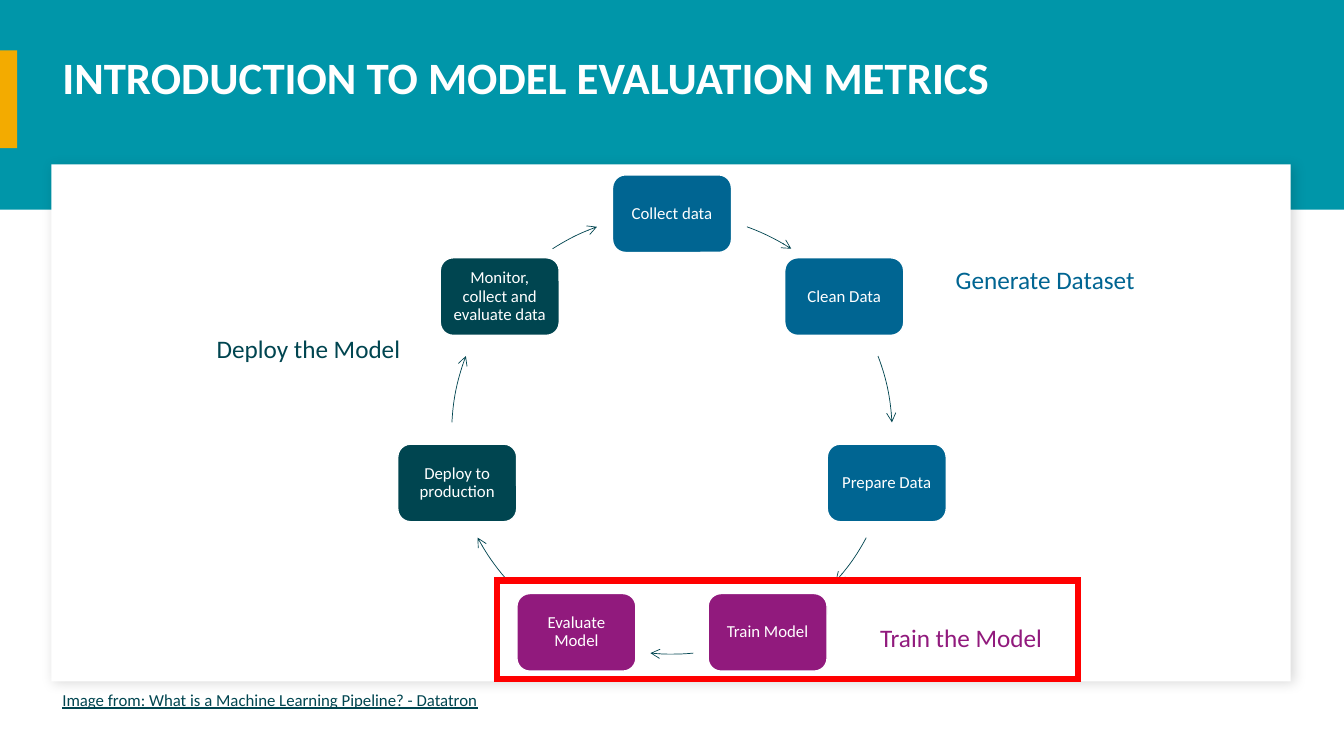
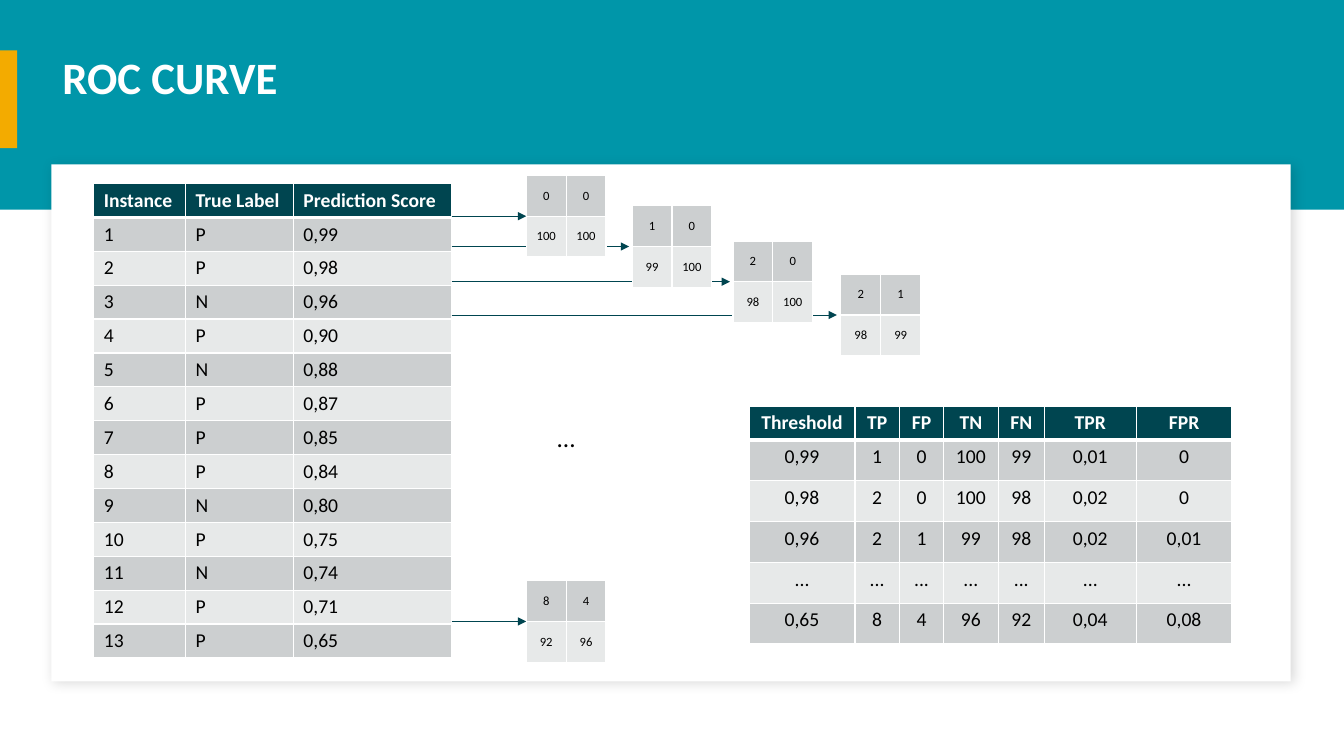
from itertools import product
import math

from lxml import etree
from pptx import Presentation
from pptx.dml.color import RGBColor
from pptx.enum import shapes, text
from pptx.oxml import ns
from pptx.util import Inches, Pt

TEAL = RGBColor(0x00, 0x96, 0xA9)
GOLD = RGBColor(0xF3, 0xAB, 0x00)
DARK = RGBColor(0x00, 0x45, 0x50)
BLUE = RGBColor(0x00, 0x65, 0x92)
PLUM = RGBColor(0x91, 0x1A, 0x7D)
RED = RGBColor(0xFF, 0x00, 0x00)
WHITE = RGBColor(0xFF, 0xFF, 0xFF)
BLACK = RGBColor(0x00, 0x00, 0x00)
BANDS = (RGBColor(0xCC, 0xCF, 0xD0), RGBColor(0xE7, 0xE9, 0xE9))
FONT = "Calibri"
CARD = (0.51, 1.63, 12.29, 5.13)

RECT = shapes.MSO_SHAPE.RECTANGLE
ROUND = shapes.MSO_SHAPE.ROUNDED_RECTANGLE
ARC = shapes.MSO_SHAPE.ARC
LEFT, MID = text.PP_ALIGN.LEFT, text.PP_ALIGN.CENTER
TOP, CENTER = text.MSO_ANCHOR.TOP, text.MSO_ANCHOR.MIDDLE


# Helpers
def node(parent, tag, **attrs):
    return etree.SubElement(parent, ns.qn("a:" + tag), attrs)


def write(frame, words, size=14, color=BLACK, bold=False, under=False,
          align=LEFT, space=1.0):
    para = frame.paragraphs[0]
    para.alignment = align
    para.line_spacing = space
    run = para.add_run()
    run.text = words
    font = run.font
    font.name, font.size, font.bold = FONT, Pt(size), bold
    font.underline = under
    font.color.rgb = color


def label(slide, box, words, wrap=True, **style):
    frame = slide.shapes.add_textbox(*map(Inches, box)).text_frame
    frame.word_wrap = wrap
    write(frame, words, **style)


def block(slide, box, fill=None, line=None, width=1, kind=RECT):
    shape = slide.shapes.add_shape(kind, *map(Inches, box))
    shape.shadow.inherit = False
    if fill is None:
        shape.fill.background()
    else:
        shape.fill.solid()
        shape.fill.fore_color.rgb = fill
    if line is None:
        shape.line.fill.background()
    else:
        shape.line.color.rgb = line
        shape.line.width = Pt(width)
        node(shape.line._get_or_add_ln(), "miter", lim="800000")
    return shape


def point(shape, head):
    """Give a thin dark line an arrowhead at its end."""
    shape.line.color.rgb = DARK
    shape.line.width = Pt(0.5)
    node(shape.line._get_or_add_ln(), "tailEnd", type=head)


def arrow(slide, start, end, y):
    link = slide.shapes.add_connector(
        shapes.MSO_CONNECTOR.STRAIGHT,
        Inches(start), Inches(y), Inches(end), Inches(y))
    point(link, "triangle")
    node(link._element.spPr, "effectLst")


def edge(cell, last):
    """Draw white borders, with the bottom one as wide as asked."""
    props = cell._tc.get_or_add_tcPr()
    for spot, (side, wide) in enumerate(
            (("lnL", 1), ("lnR", 1), ("lnT", 1), ("lnB", last))):
        line = node(props, side, w=str(Pt(wide)))
        node(node(line, "solidFill"), "srgbClr", val=str(WHITE))
        props.insert(spot, line)


def grid(slide, left, top, cols, highs, rows, head=True, size=14,
         align=LEFT, anchor=TOP):
    table = slide.shapes.add_table(
        len(rows), len(cols), Inches(left), Inches(top),
        Inches(sum(cols)), Inches(sum(highs))).table
    table.first_row = head
    for col, wide in zip(table.columns, cols):
        col.width = Inches(wide)
    for row, high in zip(table.rows, highs):
        row.height = Inches(high)
    for r, c in product(range(len(rows)), range(len(cols))):
        cell = table.cell(r, c)
        title = head and r == 0
        cell.fill.solid()
        cell.fill.fore_color.rgb = DARK if title else BANDS[(r - head) % 2]
        cell.vertical_anchor = anchor
        edge(cell, 3 if title else 1)
        write(cell.text_frame, rows[r][c], size=size, bold=title,
              color=WHITE if title else BLACK, align=align)


# Shared frame
def page(deck, title):
    slide = deck.slides.add_slide(deck.slide_layouts[6])
    block(slide, (0, 0, 13.33, 2.08), TEAL)
    card = block(slide, CARD, WHITE)
    glow = node(card._element.spPr.find(ns.qn("a:effectLst")), "outerShdw",
                blurRad=str(Pt(9)), dist=str(Pt(3)), dir="2700000",
                algn="tl", rotWithShape="0")
    node(node(glow, "srgbClr", val=str(BLACK)), "alpha", val="15000")
    block(slide, (0, 0.5, 0.17, 0.97), GOLD)
    label(slide, (0.52, 0.5, 12.41, 0.45), title, size=32, color=WHITE,
          bold=True, space=0.9)
    return slide


# Pipeline ring
STEPS = (
    ("Collect data", BLUE), ("Clean Data", BLUE), ("Prepare Data", BLUE),
    ("Train Model", PLUM), ("Evaluate Model", PLUM),
    ("Deploy to production", DARK),
    ("Monitor, collect and evaluate data", DARK),
)
# Degrees clockwise from the top, for the right half of the ring
HALF = ((19.9, 32.8), (69.3, 87), (118.1, 132))
ARCS = (*HALF, (174.4, 185.6), *((360 - b, 360 - a) for a, b in HALF))


def ring(slide, left, top, side):
    rad = side / 2
    wide, high = 1.18, 0.77
    for i, (words, fill) in enumerate(STEPS):
        turn = math.tau * i / len(STEPS)
        x = left + rad + rad * math.sin(turn)
        y = top + rad - rad * math.cos(turn)
        step = block(slide, (x - wide / 2, y - high / 2, wide, high),
                     fill, WHITE, kind=ROUND)
        frame = step.text_frame
        frame.word_wrap = True
        frame.vertical_anchor = CENTER
        frame.margin_left = frame.margin_right = Inches(0.07)
        write(frame, words, size=12, color=WHITE, align=MID, space=0.9)

    for ends in ARCS:
        bow = block(slide, (left, top, side, side), kind=ARC)
        # Preset angles run from the right, in units of 0.6 per degree
        for k, deg in enumerate(ends):
            bow.adjustments[k] = (deg - 90) % 360 * 0.6
        point(bow, "arrow")


def intro(deck):
    slide = page(deck, "INTRODUCTION TO MODEL EVALUATION METRICS")
    ring(slide, 4.48, 2.12, 4.37)
    for x, y, wide, words, color in (
            (9.38, 2.57, 2, "Generate Dataset", BLUE),
            (8.63, 6.12, 1.83, "Train the Model", PLUM),
            (2.05, 3.26, 2.05, "Deploy the Model", DARK)):
        label(slide, (x, y, wide, 0.4), words, wrap=False, size=18,
              color=color)
    block(slide, (4.93, 5.76, 5.76, 0.98), line=RED, width=4.5)
    label(slide, (0.52, 6.79, 6.67, 0.4),
          "Image from: What is a Machine Learning Pipeline? - Datatron",
          size=12, color=DARK, under=True)


# ROC tables
ROW = 4.71 / 14
TRUTH = "PPNPNPPPNPNPP"
SCORES = ("0,99 0,98 0,96 0,90 0,88 0,87 0,85 0,84 0,80 0,75 0,74 0,71 "
          "0,65").split()
RATES = [line.split() for line in (
    "Threshold TP FP TN FN TPR FPR",
    "0,99 1 0 100 99 0,01 0",
    "0,98 2 0 100 98 0,02 0",
    "0,96 2 1 99 98 0,02 0,01",
    "... ... ... ... ... ... ...",
    "0,65 8 4 96 92 0,04 0,08")]
# Left, top, arrow tip and counts of each confusion matrix
COUNTS = (
    (5.22, 1.74, 5.22, ("00", ("100", "100"))),
    (6.27, 2.04, 6.24, ("10", ("99", "100"))),
    (7.27, 2.39, 7.24, ("20", ("98", "100"))),
    (8.34, 2.72, 8.3, ("21", ("98", "99"))),
    (5.22, 5.76, 5.22, ("84", ("92", "96"))),
)


def cases(slide, left, top):
    rows = [("Instance", "True Label", "Prediction Score")]
    rows += [(str(i), *pair)
             for i, pair in enumerate(zip(TRUTH, SCORES), 1)]
    grid(slide, left, top, (0.91, 1.07, 1.57), [ROW] * len(rows), rows)


def counts(slide, start):
    side, cell = 0.79, 0.81 / 2
    for _, top, tip, _ in COUNTS:
        arrow(slide, start, tip, top + cell)
    for left, top, _, rows in COUNTS:
        grid(slide, left, top, [side / 2] * 2, [cell] * 2, rows, head=False,
             size=9, align=MID, anchor=CENTER)


def rates(slide, left, top):
    grid(slide, left, top, (1.05, 0.44, 0.44, 0.54, 0.46, 0.91, 0.95),
         [ROW] + [0.81 / 2] * 5, RATES, align=MID)


def curve(deck):
    slide = page(deck, "ROC CURVE")
    cases(slide, 0.93, 1.82)
    counts(slide, 4.48)
    rates(slide, 7.43, 4.03)
    label(slide, (5.11, 4.14, 1.01, 0.4), "...", size=18, align=MID)


def main():
    deck = Presentation()
    deck.slide_width, deck.slide_height = Inches(13.33), Inches(7.5)
    intro(deck)
    curve(deck)
    deck.save("out.pptx")


if __name__ == "__main__":
    main()
